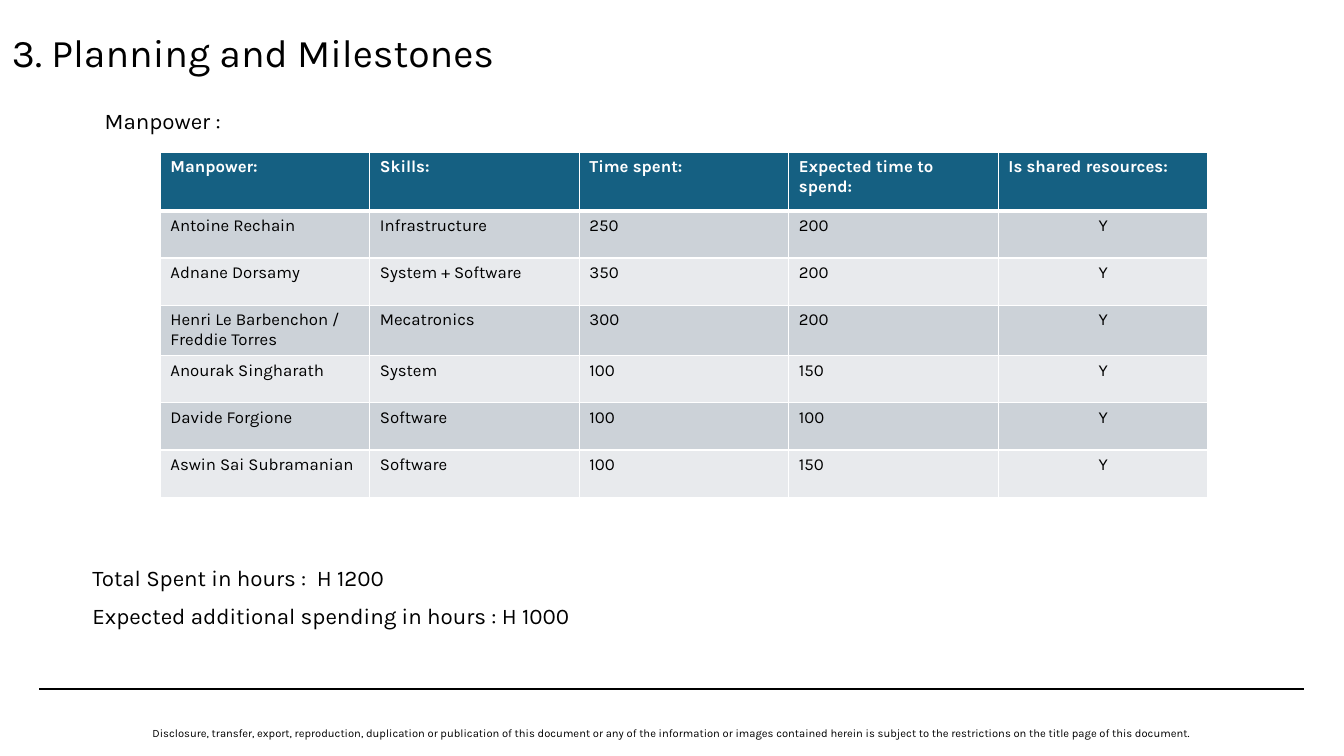
from lxml import etree
from pptx import Presentation
from pptx.dml.color import RGBColor
from pptx.enum.shapes import MSO_CONNECTOR
from pptx.enum.text import MSO_ANCHOR, MSO_AUTO_SIZE, PP_ALIGN
from pptx.oxml.ns import qn
from pptx.util import Cm, Pt

LEFT, CENTER = PP_ALIGN.LEFT, PP_ALIGN.CENTER
MIDDLE = MSO_ANCHOR.MIDDLE
NO_AUTOSIZE = MSO_AUTO_SIZE.NONE
STRAIGHT = MSO_CONNECTOR.STRAIGHT

BLACK = RGBColor(0x00, 0x00, 0x00)
WHITE = RGBColor(0xFF, 0xFF, 0xFF)
TEAL = RGBColor(0x15, 0x60, 0x82)
BANDS = (RGBColor(0xCC, 0xD2, 0xD8), RGBColor(0xE8, 0xEA, 0xED))
FONT = "Karla"

TITLE = "3. Planning and Milestones"
SUBTITLE = "Manpower :"
HEADINGS = ("Manpower:", "Skills:", "Time spent:", "Expected time to spend:", "Is shared resources:")
PEOPLE = [
    ("Antoine Rechain", "Infrastructure", 250, 200, "Y"),
    ("Adnane Dorsamy", "System + Software", 350, 200, "Y"),
    ("Henri Le Barbenchon / Freddie Torres", "Mecatronics", 300, 200, "Y"),
    ("Anourak Singharath", "System", 100, 150, "Y"),
    ("Davide Forgione", "Software", 100, 100, "Y"),
    ("Aswin Sai Subramanian", "Software", 100, 150, "Y"),
]
TOTALS = ["Total Spent in hours :  H 1200", "Expected additional spending in hours : H 1000"]
DISCLAIMER = (
    "Disclosure, transfer, export, reproduction, duplication or publication of this document "
    "or any of the information or images contained herein is subject to the restrictions "
    "on the title page of this document."
)

COLUMN_WIDTH = Cm(5.28)
HEADER_HEIGHT, PERSON_HEIGHT = Cm(1.47), Cm(1.19)


def format_paragraph(paragraph, size, color=BLACK, align=LEFT, bold=False):
    paragraph.alignment = align
    font = paragraph.font
    font.name, font.size, font.bold = FONT, Pt(size), bold
    font.color.rgb = color


def add_text(slide, box, lines, size, align=LEFT, before=0, spacing=1.0):
    frame = slide.shapes.add_textbox(*map(Cm, box)).text_frame
    frame.word_wrap = True
    frame.text = "\n".join(lines)
    for paragraph in frame.paragraphs:
        format_paragraph(paragraph, size, align=align)
        paragraph.space_before = Pt(before)
        paragraph.line_spacing = spacing


def set_borders(cell, widths):
    properties = cell._tc.get_or_add_tcPr()
    for side, width in widths.items():
        border = etree.SubElement(properties, qn(f"a:ln{side}"), w=str(Pt(width)))
        fill = etree.SubElement(border, qn("a:solidFill"))
        etree.SubElement(fill, qn("a:srgbClr"), val=str(WHITE))


def add_manpower_table(slide):
    rows = [HEADINGS, *PEOPLE]
    columns = len(HEADINGS)
    height = HEADER_HEIGHT + PERSON_HEIGHT * len(PEOPLE)
    table = slide.shapes.add_table(
        len(rows), columns, Cm(4.04), Cm(3.84), COLUMN_WIDTH * columns, height
    ).table
    for column in table.columns:
        column.width = COLUMN_WIDTH
    for r, values in enumerate(rows):
        header = r == 0
        table.rows[r].height = HEADER_HEIGHT if header else PERSON_HEIGHT
        for c, value in enumerate(values):
            cell = table.cell(r, c)
            cell.text = str(value)
            centred = not header and c == columns - 1
            format_paragraph(
                cell.text_frame.paragraphs[0], 12,
                color=WHITE if header else BLACK,
                align=CENTER if centred else LEFT, bold=header,
            )
            set_borders(cell, {"L": 1, "R": 1, "T": 3 if r == 1 else 1, "B": 3 if header else 1})
            cell.fill.solid()
            cell.fill.fore_color.rgb = TEAL if header else BANDS[(r - 1) % 2]


def main():
    presentation = Presentation()
    presentation.slide_width, presentation.slide_height = Cm(33.87), Cm(19.05)
    slide = presentation.slides.add_slide(presentation.slide_layouts[5])

    title = slide.shapes.title
    title.left, title.top, title.width, title.height = map(Cm, (0, 0.18, 12.75, 2.39))
    heading = title.text_frame
    heading.text = TITLE
    heading.auto_size = NO_AUTOSIZE
    heading.word_wrap = False
    heading.vertical_anchor = MIDDLE
    format_paragraph(heading.paragraphs[0], 28, align=CENTER)
    heading.paragraphs[0].line_spacing = 0.9

    add_text(slide, (2.39, 2.57, 3.99, 0.71), [SUBTITLE], 16, before=10)
    add_manpower_table(slide)
    add_text(slide, (2.08, 14.17, 25.27, 2.31), TOTALS, 16, before=10, spacing=0.9)

    rule = slide.shapes.add_connector(STRAIGHT, Cm(0.99), Cm(17.37), Cm(32.87), Cm(17.37))
    rule.line.color.rgb = BLACK
    rule.line.width = Pt(1.25)
    etree.SubElement(rule._element.spPr, qn("a:effectLst"))
    add_text(slide, (2.62, 18.19, 28.65, 0.61), [DISCLAIMER], 8, align=CENTER)

    presentation.save("out.pptx")


if __name__ == "__main__":
    main()
